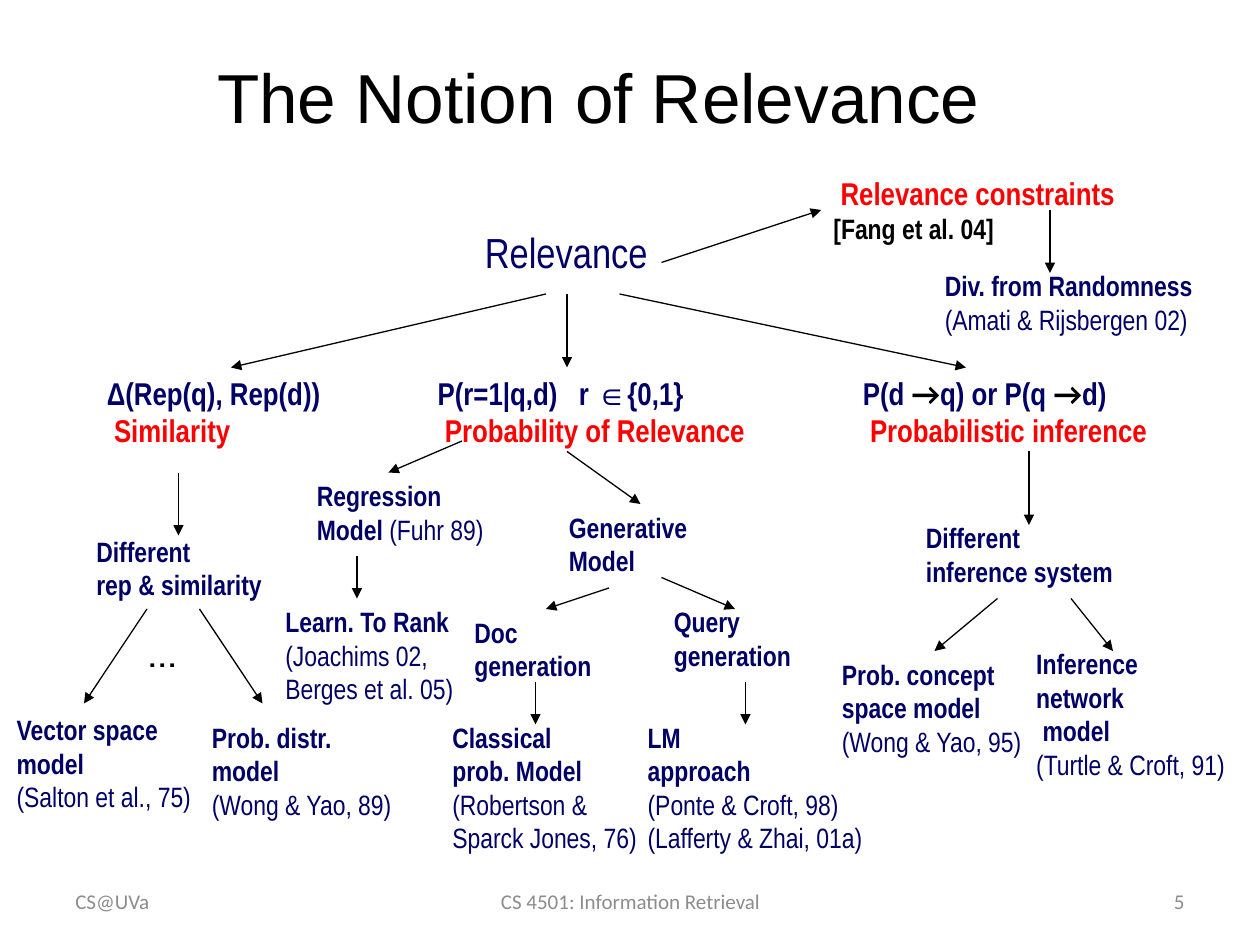
from lxml import etree
from pptx import Presentation
from pptx.dml.color import RGBColor
from pptx.enum.shapes import MSO_CONNECTOR
from pptx.enum.text import MSO_ANCHOR, MSO_AUTO_SIZE, PP_ALIGN
from pptx.oxml.ns import qn
from pptx.util import Inches, Pt

COLORS = {"navy": "000066", "red": "FF0000", "black": "000000", "gray": "8C8C8C"}
NARROW = "Arial Narrow"
# Text styles: size, font, colour, bold
STYLES = {
    "title": (39.6, "Arial", "black", False),
    "root": (24, NARROW, "navy", False),
    "topic": (18, NARROW, "navy", True),
    "name": (18, NARROW, "red", True),
    "arrow": (18, "Calibri", "black", True),
    "node": (16, NARROW, "navy", True),
    "cite": (16, NARROW, "navy", False),
    "source": (16, NARROW, "black", True),
    "dots": (24, "Cabin", "black", False),
    "footer": (12, "Calibri", "gray", False),
}
CELL = 1 / 12  # grid of 120 columns by 90 rows, in inches


def cells(count):
    return Inches(count * CELL)


def apply_style(font, style):
    size, name, color, bold = STYLES[style]
    font.size, font.name, font.bold = Pt(size), name, bold
    font.color.rgb = RGBColor.from_string(COLORS[color])


def add_tab_stop(paragraph, position):
    properties = paragraph._p.get_or_add_pPr()
    tabs = etree.SubElement(properties, qn("a:tabLst"))
    etree.SubElement(tabs, qn("a:tab"), pos=str(position), algn="l")


def write_line(paragraph, runs):
    """Write (style, text) pairs as one paragraph."""
    if any("\t" in text for _, text in runs):
        add_tab_stop(paragraph, Inches(1.12))
    for style, text in runs:
        run = paragraph.add_run()
        run.text = text
        if len(runs) > 1:
            apply_style(run.font, style)
    if len(runs) == 1:
        apply_style(paragraph.font, runs[0][0])


def add_label(slide, box, column, row, width, *lines):
    """Add a label whose height follows from its lines."""
    height = 0.1 + sum(STYLES[runs[-1][0]][0] * 1.2 / 72 for runs in lines)
    shape = slide.shapes.add_textbox(
        cells(box[0] + column), cells(box[1] + row), Inches(width), Inches(height))
    frame = shape.text_frame
    frame.word_wrap = False
    frame.auto_size = MSO_AUTO_SIZE.SHAPE_TO_FIT_TEXT
    for index, runs in enumerate(lines):
        write_line(frame.add_paragraph() if index else frame.paragraphs[0], runs)


def add_node(slide, box, column, row, width, names, citations=()):
    """Add a model label: bold names, then plain citations."""
    lines = [[("node", text)] for text in names]
    lines += [[("cite", text)] for text in citations]
    add_label(slide, box, column, row, width, *lines)


def add_arrows(slide, box, *arrows):
    left, top = box
    for x1, y1, x2, y2 in arrows:
        connector = slide.shapes.add_connector(
            MSO_CONNECTOR.STRAIGHT, cells(left + x1), cells(top + y1),
            cells(left + x2), cells(top + y2))
        connector.line.width = Pt(0.75)
        connector.line.color.rgb = RGBColor.from_string(COLORS["black"])
        etree.SubElement(connector.line._get_or_add_ln(), qn("a:tailEnd"), type="triangle")
        etree.SubElement(connector._element.spPr, qn("a:effectLst"))


def fill_title(slide, left, top, width, height):
    title = slide.shapes.title
    title.left, title.top = Inches(left), Inches(top)
    title.width, title.height = Inches(width), Inches(height)
    frame = title.text_frame
    frame.vertical_anchor = MSO_ANCHOR.MIDDLE
    frame.margin_top = Inches(0.24)
    paragraph = frame.paragraphs[0]
    paragraph.alignment = PP_ALIGN.CENTER
    write_line(paragraph, [("title", "The Notion of Relevance")])


def add_root(slide, box):
    add_label(slide, box, 36, 0, 1.5, [("root", "Relevance")])
    add_label(slide, box, 0, 14, 2.13,
              [("topic", "Δ(Rep(q), Rep(d))")], [("name", " Similarity")])
    add_label(slide, box, 31.5, 14, 2.65,
              [("topic", "P(r=1|q,d)\tr ∈{0,1}")], [("name", " Probability of Relevance")])
    add_label(slide, box, 72, 14, 2.46,
              [("topic", "P(d "), ("arrow", "→"), ("topic", "q) or P(q "),
               ("arrow", "→"), ("topic", "d)")],
              [("name", " Probabilistic inference")])
    add_arrows(slide, box, (43, 7, 13, 14), (45, 7, 45, 14), (50, 7, 83, 14))


def add_similarity(slide, box):
    add_node(slide, box, 8, 5.3, 1.56, ["Different", "rep & similarity"])
    add_node(slide, box, 0.4, 22.3, 1.62, ["Vector space", "model"], ["(Salton et al., 75)"])
    add_node(slide, box, 19, 23, 1.65, ["Prob. distr.", "model"], ["(Wong & Yao, 89)"])
    add_label(slide, box, 13, 14, 0.53, [("dots", "…")])
    add_arrows(slide, box, (17, 0, 17, 6), (14, 13, 8, 22), (19, 13, 25, 22))


def add_probability(slide, box):
    # Regression branch
    add_label(slide, box, 3, 3, 1.55, [("node", "Regression")],
              [("node", "Model "), ("cite", "(Fuhr 89)")])
    add_node(slide, box, 0, 15, 1.56, ["Learn. To Rank"], ["(Joachims 02,", "Berges et al. 05)"])
    add_arrows(slide, box, (18, 0, 11, 3), (8, 11, 8, 15))
    # Generative branch
    add_node(slide, box, 27, 6, 1.15, ["Generative", "Model"])
    add_node(slide, box, 18, 16, 1.14, ["Doc", "generation"])
    add_node(slide, box, 37, 15, 1.14, ["Query", "generation"])
    add_node(slide, box, 15.9, 26, 1.68, ["Classical", "prob. Model"],
             ["(Robertson &", "Sparck Jones, 76)"])
    add_node(slide, box, 34.5, 26, 1.92, ["LM", "approach"],
             ["(Ponte & Croft, 98)", "(Lafferty & Zhai, 01a)"])
    add_arrows(slide, box, (28, 1, 35, 6), (32, 14, 26, 16), (37, 13, 44, 16),
               (25, 23, 25, 27), (45, 23, 45, 27))


def add_inference(slide, box):
    add_node(slide, box, 8, 6, 1.72, ["Different", "inference system"])
    add_node(slide, box, 0, 19, 1.65, ["Prob. concept", "space model"], ["(Wong & Yao, 95)"])
    add_node(slide, box, 18.5, 18, 1.72, ["Inference", "network", " model"],
             ["(Turtle & Croft, 91)"])
    add_arrows(slide, box, (19, 0, 19, 7), (16, 14, 10, 19), (23, 14, 27, 19))


def add_constraints(slide, box):
    add_label(slide, box, 15.2, 0, 2.47, [("name", " Relevance constraints")],
              [("source", "[Fang et al. 04]")])
    add_node(slide, box, 25.8, 9, 2.2, ["Div. from Randomness"], ["(Amati & Rijsbergen 02)"])
    add_arrows(slide, box, (0, 9, 15.2, 4), (37, 4, 37, 10))


def add_footer(slide, top, height):
    for left, width, alignment, text in (
            (0.5, 2.33, PP_ALIGN.LEFT, "CS@UVa"),
            (3.42, 3.17, PP_ALIGN.CENTER, "CS 4501: Information Retrieval"),
            (7.17, 2.33, PP_ALIGN.RIGHT, "5")):
        shape = slide.shapes.add_textbox(
            Inches(left), Inches(top), Inches(width), Inches(height))
        frame = shape.text_frame
        frame.word_wrap = True
        frame.vertical_anchor = MSO_ANCHOR.MIDDLE
        frame.paragraphs[0].alignment = alignment
        write_line(frame.paragraphs[0], [("footer", text)])


def main():
    presentation = Presentation()
    presentation.slide_width, presentation.slide_height = Inches(10), Inches(7.5)
    slide = presentation.slides.add_slide(presentation.slide_layouts[5])
    fill_title(slide, 0, 0.08, 9.5, 1.17)
    # Each region starts at a (column, row) of the grid
    add_root(slide, (9, 21))
    add_similarity(slide, (0, 45))
    add_probability(slide, (26, 42))
    add_inference(slide, (79, 43))
    add_constraints(slide, (63, 16))
    add_footer(slide, 6.95, 0.4)
    presentation.save("out.pptx")


if __name__ == "__main__":
    main()
